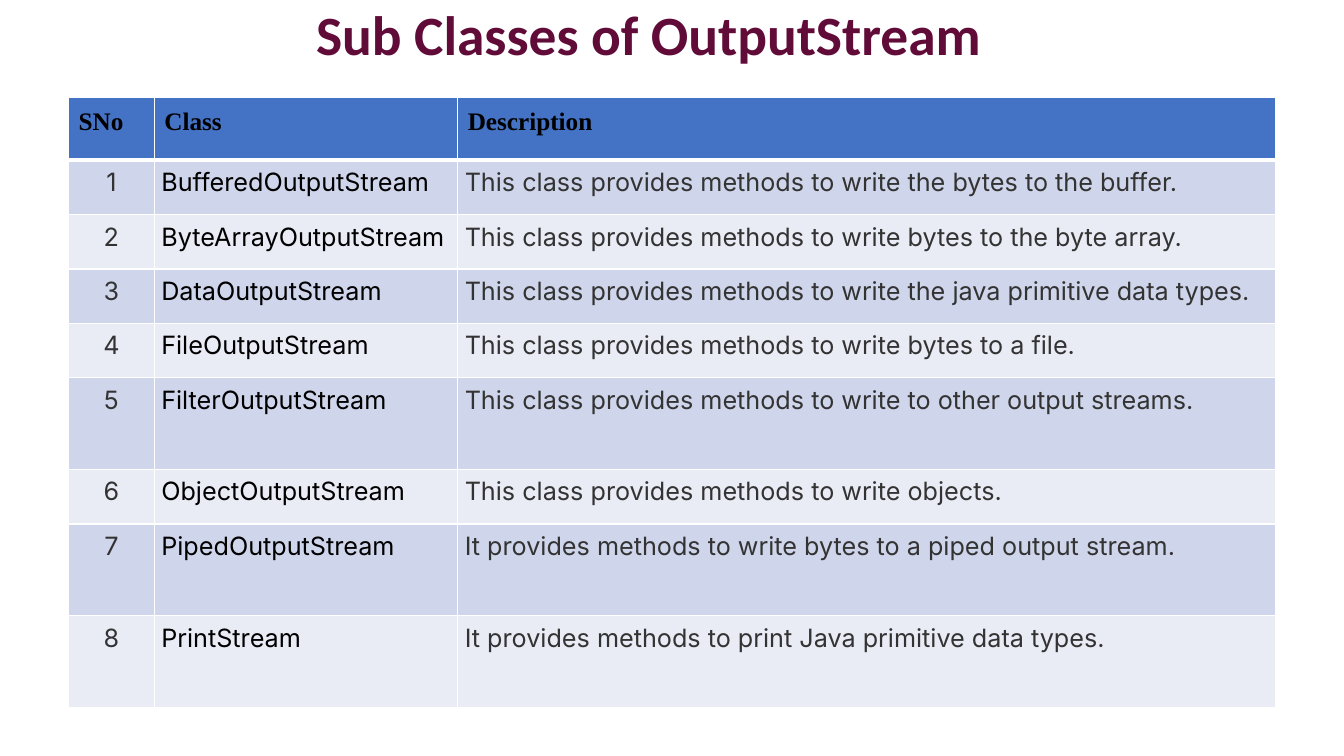
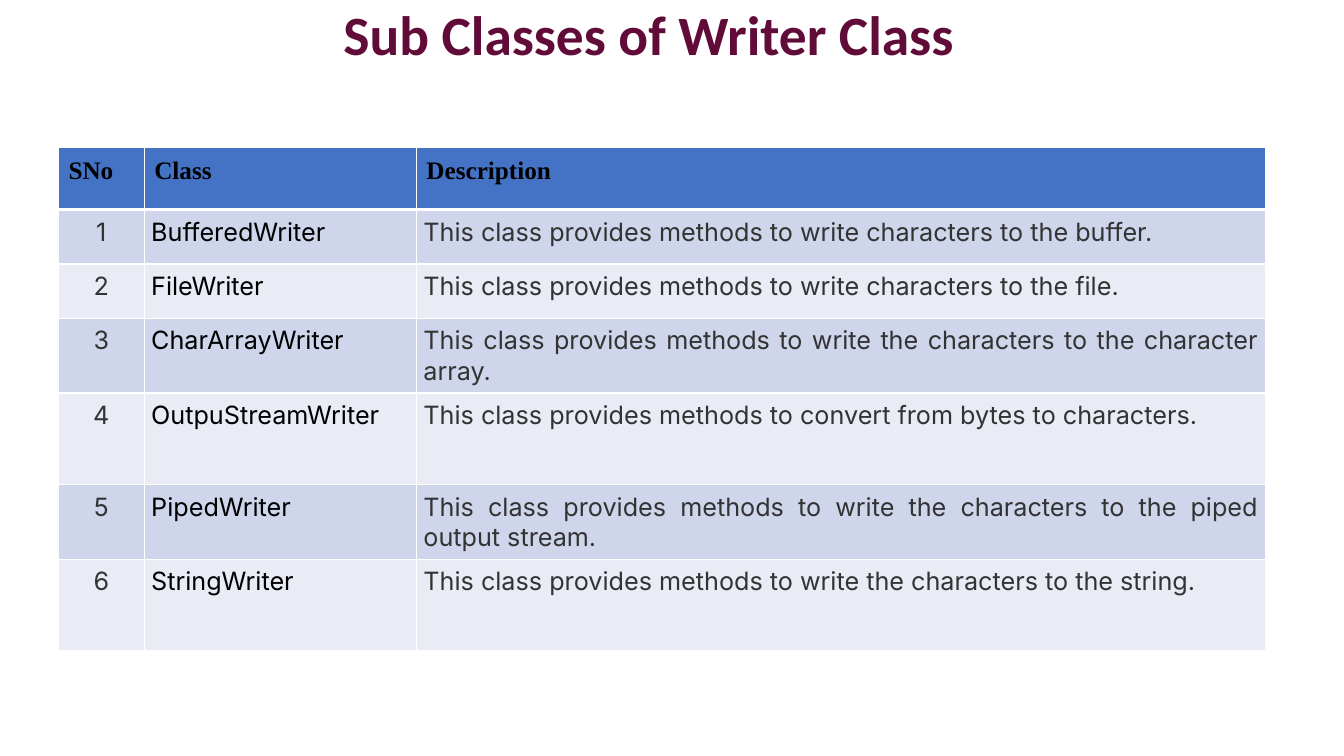
from dataclasses import dataclass

import pptx
import pptx.dml.color
import pptx.enum.text
import pptx.oxml
import pptx.oxml.ns
import pptx.util

Inches = pptx.util.Inches
Align = pptx.enum.text.PP_ALIGN
Anchor = pptx.enum.text.MSO_ANCHOR


@dataclass(frozen=True)
class Theme:
    title_color: str = "610B38"
    header_fill: str = "4472C4"
    band_fills: tuple[str, str] = ("CFD5EA", "E9EBF5")
    border: str = "FFFFFF"
    strong_text: str = "000000"
    body_text: str = "333333"
    title_font: str = "Calibri"
    header_font: str = "Times New Roman"
    body_font: str = "Inter"
    title_size: float = 39.6
    table_size: float = 18
    thin_line: float = 1
    header_line: float = 3
    header_inset: float = 0.1
    body_inset: float = 0.07


THEME = Theme()
HEADINGS = ("SNo", "Class", "Description")
HEADER_ROW = 0.62
SHORT_ROW = 0.54
TALL_ROW = 0.91


@dataclass(frozen=True)
class JavaClass:
    name: str
    description: str
    row_height: float = SHORT_ROW


@dataclass(frozen=True)
class ClassSlide:
    title: str
    left: float
    top: float
    column_widths: tuple[float, float, float]
    name_align: Align
    classes: tuple[JavaClass, ...]


CLASS_SLIDES = (
    ClassSlide(
        "Sub Classes of OutputStream", 0.68, 0.97, (0.85, 3.01, 8.11), Align.LEFT,
        (
            JavaClass("BufferedOutputStream", "This class provides methods to write the bytes to the buffer."),
            JavaClass("ByteArrayOutputStream", "This class provides methods to write bytes to the byte array."),
            JavaClass("DataOutputStream", "This class provides methods to write the java primitive data types."),
            JavaClass("FileOutputStream", "This class provides methods to write bytes to a file."),
            JavaClass("FilterOutputStream", "This class provides methods to write to other output streams.", TALL_ROW),
            JavaClass("ObjectOutputStream", "This class provides methods to write objects."),
            JavaClass("PipedOutputStream", "It provides methods to write bytes to a piped output stream.", TALL_ROW),
            JavaClass("PrintStream", "It provides methods to print Java primitive data types.", TALL_ROW),
        ),
    ),
    ClassSlide(
        "Sub Classes of Writer Class", 0.58, 1.46, (0.85, 2.7, 8.42), Align.JUSTIFY,
        (
            JavaClass("BufferedWriter", "This class provides methods to write characters to the buffer."),
            JavaClass("FileWriter", "This class provides methods to write characters to the file."),
            JavaClass("CharArrayWriter", "This class provides methods to write the characters to the character array."),
            JavaClass("OutpuStreamWriter", "This class provides methods to convert from bytes to characters.", TALL_ROW),
            JavaClass("PipedWriter", "This class provides methods to write the characters to the piped output stream."),
            JavaClass("StringWriter", "This class provides methods to write the characters to the string.", TALL_ROW),
        ),
    ),
)


def write_text(frame, text: str, *, font: str, size: float, color: str,
               bold: bool = False, align: Align = Align.LEFT,
               line_spacing: float | None = None) -> None:
    frame.word_wrap = True
    paragraph = frame.paragraphs[0]
    paragraph.alignment = align
    paragraph.line_spacing = line_spacing
    run = paragraph.add_run()
    run.text = text
    run.font.name = font
    run.font.size = pptx.util.Pt(size)
    run.font.bold = bold
    run.font.color.rgb = pptx.dml.color.RGBColor.from_string(color)


def style_cell(cell, fill: str, inset: float, top: float, bottom: float) -> None:
    """Set insets, border widths in points, and fill; borders must precede the fill."""
    cell.margin_left = cell.margin_right = Inches(inset)
    cell.margin_top = cell.margin_bottom = Inches(inset)
    properties = cell._tc.get_or_add_tcPr()
    widths = {"L": THEME.thin_line, "R": THEME.thin_line, "T": top, "B": bottom}
    for side, width in widths.items():
        properties.append(pptx.oxml.parse_xml(
            f'<a:ln{side} {pptx.oxml.ns.nsdecls("a")} w="{pptx.util.Pt(width)}">'
            f'<a:solidFill><a:srgbClr val="{THEME.border}"/></a:solidFill></a:ln{side}>'
        ))
    cell.fill.solid()
    cell.fill.fore_color.rgb = pptx.dml.color.RGBColor.from_string(fill)


def add_title(slide, title: str) -> None:
    box = slide.shapes.add_textbox(Inches(0.45), Inches(0), Inches(11.97), Inches(0.74))
    box.text_frame.vertical_anchor = Anchor.MIDDLE
    write_text(box.text_frame, title, font=THEME.title_font, size=THEME.title_size,
               color=THEME.title_color, bold=True, align=Align.CENTER, line_spacing=0.9)


def add_class_table(slide, content: ClassSlide) -> None:
    heights = [HEADER_ROW] + [entry.row_height for entry in content.classes]
    table = slide.shapes.add_table(
        len(heights), len(HEADINGS), Inches(content.left), Inches(content.top),
        Inches(sum(content.column_widths)), Inches(sum(heights)),
    ).table
    table.horz_banding = False
    for column, width in zip(table.columns, content.column_widths):
        column.width = Inches(width)
    for row, height in zip(table.rows, heights):
        row.height = Inches(height)

    for cell, heading in zip(table.rows[0].cells, HEADINGS):
        style_cell(cell, THEME.header_fill, THEME.header_inset,
                   THEME.thin_line, THEME.header_line)
        write_text(cell.text_frame, heading, font=THEME.header_font,
                   size=THEME.table_size, color=THEME.strong_text, bold=True)

    for number, entry in enumerate(content.classes, start=1):
        fill = THEME.band_fills[(number - 1) % 2]
        top = THEME.header_line if number == 1 else THEME.thin_line
        columns = (
            (str(number), THEME.body_text, Align.CENTER),
            (entry.name, THEME.strong_text, content.name_align),
            (entry.description, THEME.body_text, Align.JUSTIFY),
        )
        for cell, (text, color, align) in zip(table.rows[number].cells, columns):
            style_cell(cell, fill, THEME.body_inset, top, THEME.thin_line)
            write_text(cell.text_frame, text, font=THEME.body_font,
                       size=THEME.table_size, color=color, align=align)


def main() -> None:
    deck = pptx.Presentation()
    deck.slide_width, deck.slide_height = Inches(13.33), Inches(7.5)
    blank = deck.slide_layouts[6]
    for content in CLASS_SLIDES:
        slide = deck.slides.add_slide(blank)
        add_title(slide, content.title)
        add_class_table(slide, content)
    deck.save("out.pptx")


if __name__ == "__main__":
    main()
